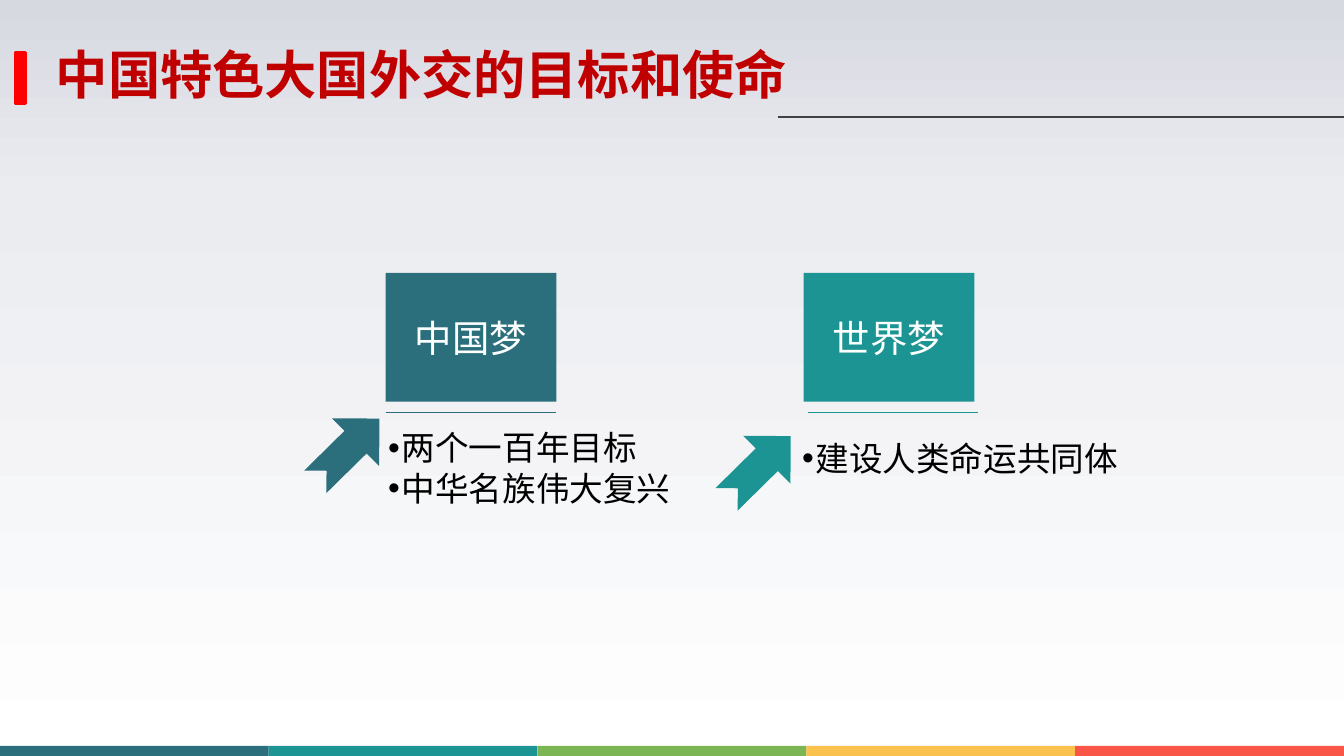
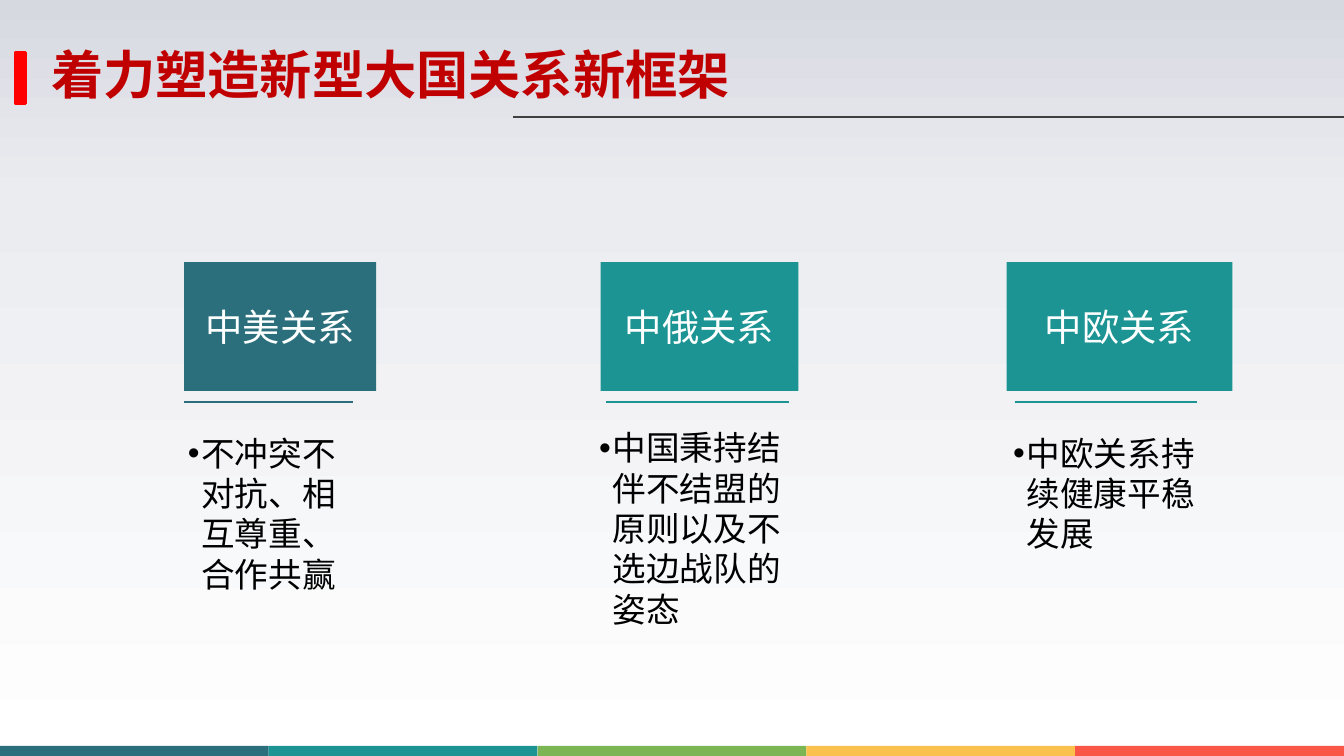
"""Build two slides on the goals of diplomacy and relations between major countries."""
import copy

import pptx
import pptx.dml.color
import pptx.enum.shapes
import pptx.enum.text
import pptx.oxml
import pptx.oxml.ns
import pptx.util
from lxml import etree

Inches = pptx.util.Inches
Pt = pptx.util.Pt
RGBColor = pptx.dml.color.RGBColor
MSO_SHAPE = pptx.enum.shapes.MSO_SHAPE
PP_ALIGN = pptx.enum.text.PP_ALIGN
MSO_ANCHOR = pptx.enum.text.MSO_ANCHOR
qn = pptx.oxml.ns.qn

BLUE = RGBColor(0x2B, 0x6F, 0x7D)
TEAL = RGBColor(0x1C, 0x94, 0x94)
GREEN = RGBColor(0x7C, 0xB5, 0x54)
YELLOW = RGBColor(0xFA, 0xC1, 0x4D)
CORAL = RGBColor(0xF9, 0x56, 0x47)
RED = RGBColor(0xFF, 0x00, 0x00)
TITLE_RED = RGBColor(0xC0, 0x00, 0x00)
GREY = RGBColor(0x40, 0x40, 0x40)
BLACK = RGBColor(0x00, 0x00, 0x00)
OFF_WHITE = RGBColor(0xFE, 0xFF, 0xFF)
BACKGROUND = [
    (0, RGBColor(0xD7, 0xD9, 0xE1)),
    (0.26, RGBColor(0xEB, 0xEC, 0xF0)),
    (1, RGBColor(0xFF, 0xFF, 0xFF)),
]
FOOTER = [BLUE, TEAL, GREEN, YELLOW, CORAL]
CJK = "Noto Sans CJK SC"
LATIN = "Arial"


class Deck:
    def __init__(self):
        self.prs = pptx.Presentation()
        self.prs.slide_width = Inches(10)
        self.prs.slide_height = Inches(5.625)
        self.s = None

    def slide(self, title, title_width, rule_left):
        self.s = self.prs.slides.add_slide(self.prs.slide_layouts[5])
        self.background()
        self.title(title, title_width)
        for i, color in enumerate(FOOTER):
            self.shape(MSO_SHAPE.RECTANGLE, 2 * i, 5.55, 2, 0.08, color)
        self.line(rule_left, 0.87, 10, GREY, 0.75)
        sp = self.shape(MSO_SHAPE.RECTANGLE, 0.12, 0.39, 0.07, 0.38, RED)
        sp.line.color.rgb = RED
        sp.line.width = Pt(2)

    def background(self):
        fill = self.s.background.fill
        fill.gradient()
        fill.gradient_angle = 270
        stops = next(self.s.element.iter(qn("a:gsLst")))
        stops.append(copy.deepcopy(stops[0]))
        for stop, (position, color) in zip(fill.gradient_stops, BACKGROUND):
            stop.position = position
            stop.color.rgb = color

    def title(self, text, width):
        sp = self.s.shapes.title
        sp.left, sp.top = Inches(0.26), Inches(0.31)
        sp.width, sp.height = Inches(width), Inches(0.47)
        tf = sp.text_frame
        tf.margin_left = tf.margin_right = tf.margin_top = tf.margin_bottom = 0
        tf.auto_size = pptx.enum.text.MSO_AUTO_SIZE.NONE
        tf.vertical_anchor = MSO_ANCHOR.MIDDLE
        tf.text = text
        tf.paragraphs[0].alignment = PP_ALIGN.CENTER
        self.style(tf, CJK, 28, TITLE_RED, bold=True)

    def style(self, tf, font, size, color, bold=False):
        for p in tf.paragraphs:
            for r in p.runs:
                r.font.name = font
                r.font.size = Pt(size)
                r.font.bold = bold
                r.font.color.rgb = color
                ea = etree.SubElement(r._r.get_or_add_rPr(), qn("a:ea"))
                ea.set("typeface", CJK)

    def shape(self, kind, left, top, width, height, color):
        sp = self.s.shapes.add_shape(
            kind, Inches(left), Inches(top), Inches(width), Inches(height))
        sp.shadow.inherit = False
        sp.fill.solid()
        sp.fill.fore_color.rgb = color
        sp.line.fill.background()
        return sp

    def line(self, left, top, right, color, width=1):
        sp = self.s.shapes.add_connector(
            pptx.enum.shapes.MSO_CONNECTOR.STRAIGHT,
            Inches(left), Inches(top), Inches(right), Inches(top))
        sp.line.color.rgb = color
        sp.line.width = Pt(width)
        etree.SubElement(sp._element.spPr, qn("a:effectLst"))

    def card(self, text, left, top, width, color):
        sp = self.shape(MSO_SHAPE.RECTANGLE, left, top, width, 0.96, color)
        tf = sp.text_frame
        tf.text = text
        tf.vertical_anchor = MSO_ANCHOR.MIDDLE
        tf.paragraphs[0].alignment = PP_ALIGN.CENTER
        self.style(tf, CJK, 20, OFF_WHITE)

    def arrow(self, left, top, color):
        sp = self.shape(
            MSO_SHAPE.NOTCHED_RIGHT_ARROW, left, top, 0.67, 0.5, color)
        sp.adjustments[0] = 0.47
        sp.rotation = 315.4

    def bullets(self, text, left, top, width, height, wrap=True):
        sp = self.s.shapes.add_textbox(
            Inches(left), Inches(top), Inches(width), Inches(height))
        tf = sp.text_frame
        tf.word_wrap = wrap
        tf.text = text
        for p in tf.paragraphs:
            p.line_spacing = Pt(21.6)
            pPr = p._p.get_or_add_pPr()
            pPr.set("marL", str(Inches(0.1)))
            pPr.set("indent", str(-Inches(0.1)))
            etree.SubElement(pPr, qn("a:buFont")).set("typeface", LATIN)
            etree.SubElement(pPr, qn("a:buChar")).set("char", "•")
        self.style(tf, LATIN, 18, BLACK)


def main():
    deck = Deck()

    deck.slide("中国特色大国外交的目标和使命", 5.75, 5.79)
    dreams = [
        ("中国梦", 2.87, BLUE, 2.87, (2.25, 3.1),
         "两个一百年目标\n中华名族伟大复兴", (2.79, 3.13, 2.32, 0.71)),
        ("世界梦", 5.98, TEAL, 6.01, (5.31, 3.23),
         "建设人类命运共同体", (5.87, 3.21, 2.57, 0.4)),
    ]
    for name, left, color, rule, arrow, goals, box in dreams:
        deck.line(rule, 3.07, rule + 1.27, color)
        deck.arrow(*arrow, color)
        deck.card(name, left, 2.03, 1.27, color)
        deck.bullets(goals, *box, wrap=False)

    deck.slide("着力塑造新型大国关系新框架", 5.29, 3.82)
    relations = [
        ("中美关系", 1.37, 1.43, BLUE, (1.37, 2.63),
         "不冲突不对抗、相互尊重、合作共赢", (1.3, 3.17, 1.5, 1.31)),
        ("中俄关系", 4.47, 1.47, TEAL, (4.51, 5.87),
         "中国秉持结伴不结盟的原则以及不选边战队的姿态",
         (4.36, 3.13, 1.59, 1.62)),
        ("中欧关系", 7.49, 1.68, TEAL, (7.55, 8.91),
         "中欧关系持续健康平稳发展", (7.44, 3.17, 1.59, 1.01)),
    ]
    for name, left, width, color, (start, end), policy, box in relations:
        deck.line(start, 2.99, end, color)
        deck.card(name, left, 1.95, width, color)
        deck.bullets(policy, *box)

    deck.prs.save("out.pptx")


if __name__ == "__main__":
    main()
